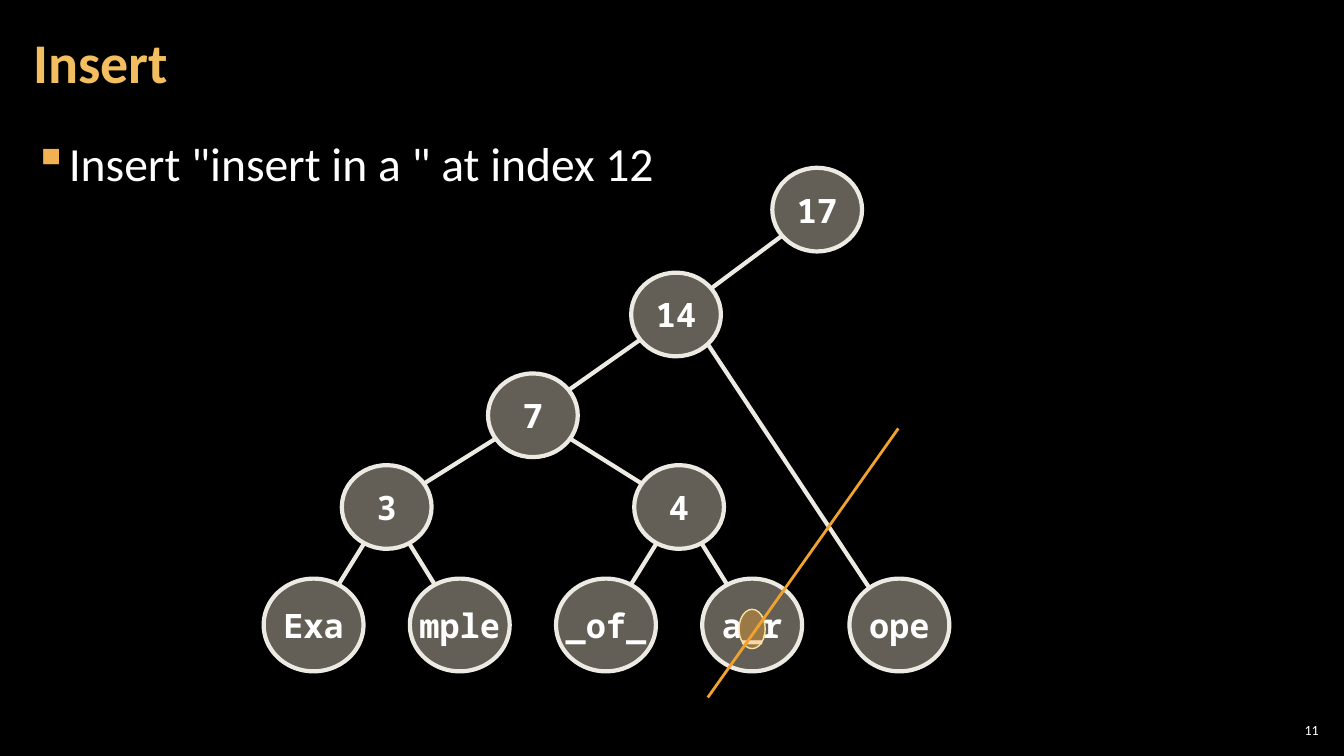
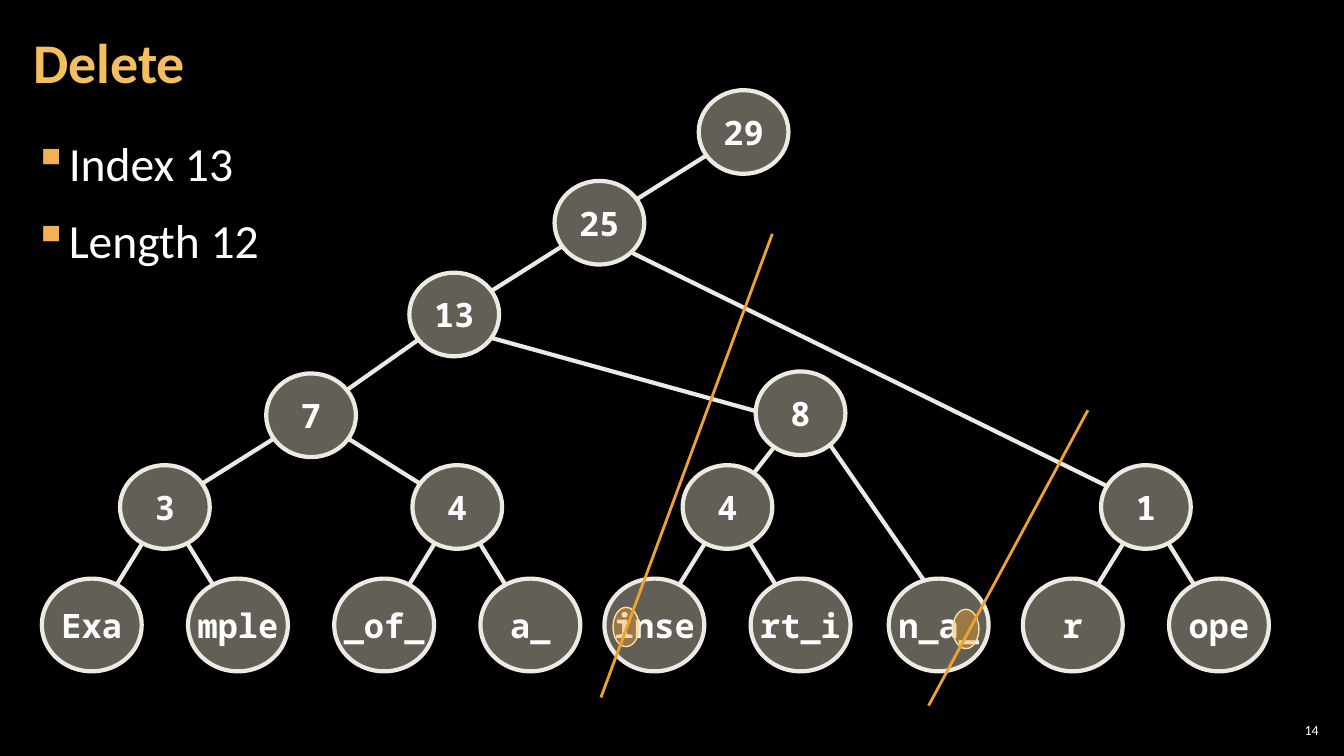
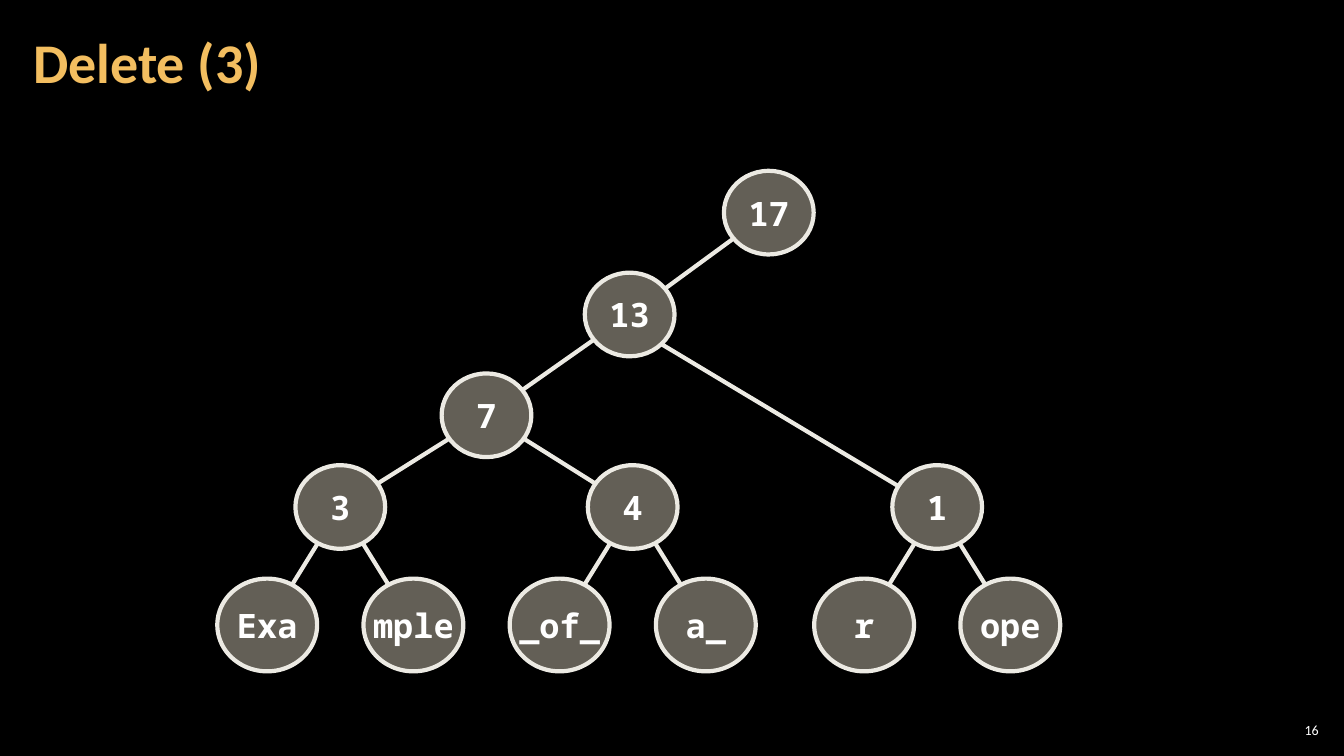
import math
import pptx
import pptx.util
import pptx.dml.color
import pptx.enum.shapes
import pptx.enum.text
import pptx.oxml.ns
import lxml.etree

Inch, Pt = pptx.util.Inches, pptx.util.Pt
qn = pptx.oxml.ns.qn
LEFT = pptx.enum.text.PP_ALIGN.LEFT
MID = pptx.enum.text.PP_ALIGN.CENTER
RIGHT = pptx.enum.text.PP_ALIGN.RIGHT
TOP = pptx.enum.text.MSO_ANCHOR.TOP
CENTER = pptx.enum.text.MSO_ANCHOR.MIDDLE
OVAL = pptx.enum.shapes.MSO_SHAPE.OVAL
STRAIGHT = pptx.enum.shapes.MSO_CONNECTOR.STRAIGHT

# Shared look
BLACK, WHITE, GOLD, BULLET = "000000", "FFFFFF", "F3BE60", "F2B254"
STONE, EDGE, CUT, RIM = "C7BFAC", "ECEAE3", "F0A22E", "F8E19F"
SANS, MONO = "Calibri", "Noto Sans Mono"
PITCH = 1.45                       # gap between neighbouring leaves
HALF = PITCH / 2
ROWS = [6.2, 5.03, 4.12, 3.12]     # centre heights, leaves first
LEAF, KNOT, MARK = (0.99, 0.92), (0.89, 0.83), (0.26, 0.39)


def ink(code):
    return pptx.dml.color.RGBColor.from_string(code)


def write(frame, text, size, font, color, bold=False, align=LEFT,
          anchor=CENTER, inset=None, wrap=True):
    frame.text = text
    frame.auto_size = pptx.enum.text.MSO_AUTO_SIZE.NONE
    frame.word_wrap, frame.vertical_anchor = wrap, anchor
    if inset:
        frame.margin_left = frame.margin_right = Inch(inset)
        frame.margin_top = frame.margin_bottom = Inch(0.04)
    for para in frame.paragraphs:
        para.alignment = align
        for run in para.runs:
            run.font.size, run.font.name, run.font.bold = Pt(size), font, bold
            run.font.color.rgb = ink(color)


# The left part of the tree is the same on every slide.
# Inner node: name, text, shift from left child, height, left child, right child
BASE = [("3", "3", HALF, ROWS[1], "Exa", "mple"),
        ("4", "4", HALF, ROWS[1], "_of_", None),
        ("7", "7", PITCH, ROWS[2], "3", "4")]
ONE = ("1", "1", HALF, ROWS[1], "r", "ope")

# "bend" holds the angles at which a long edge leaves and meets its nodes
slides = [
    dict(title="Insert", num="11", body='Insert "insert in a " at index 12',
         start=3.11, fourth="a_r", more={"ope": 8.92},
         inner=[("14", "14", 1.42, ROWS[3], "7", "ope"),
                ("17", "17", 1.4, 2.08, "14", None)],
         bend={("14", "ope"): (45, 233)},
         marks=[(7.46, 6.24)],
         cuts=[(7.02, 6.92, 8.91, 4.25)]),
    dict(title="Delete", num="14", body="Index 13\nLength 12",
         start=0.91, fourth="a_",
         more={"inse": 6.49, "rt_i": 6.49 + PITCH, "n_a_": 9.31,
               "r": 10.64, "ope": 10.64 + PITCH},
         inner=[ONE,
                ("4b", "4", HALF, ROWS[1], "inse", "rt_i"),
                ("8", "8", HALF, 4.1, "4b", "n_a_"),
                ("13", "13", 1.42, ROWS[3], "7", "8"),
                ("25", "25", 1.44, 2.21, "13", "1"),
                ("29", "29", 1.43, 1.31, "25", None)],
         bend={("13", "8"): (34, 183), ("25", "1"): (45, 210),
               ("8", "n_a_"): (49, 253)},
         marks=[(6.21, 6.22), (9.58, 6.24)],
         cuts=[(5.96, 6.92, 7.66, 2.32), (9.21, 7, 10.79, 4.07)]),
    dict(title="Delete (3)", num="16", body=None,
         start=2.65, fourth="a_", more={"r": 8.57, "ope": 8.57 + PITCH},
         inner=[ONE,
                ("13", "13", 1.42, ROWS[3], "7", "1"),
                ("17", "17", 1.38, 2.11, "13", None)],
         bend={("13", "1"): (45, 210)},
         marks=[], cuts=[]),
]

deck = pptx.Presentation()
deck.slide_width, deck.slide_height = Inch(13.33), Inch(7.5)
back = deck.slide_master.background.fill
back.solid()
back.fore_color.rgb = ink(BLACK)

for data in slides:
    page = deck.slides.add_slide(deck.slide_layouts[5])
    shapes = page.shapes

    # Title and slide number
    title = shapes.title
    title.left, title.top = Inch(0.21), Inch(0.04)
    title.width, title.height = Inch(10.47), Inch(1.21)
    write(title.text_frame, data["title"], 40, SANS, GOLD, True, inset=0.12)
    title.text_frame.paragraphs[0].line_spacing = 0.9
    num = shapes.add_textbox(Inch(12.65), Inch(7.14), Inch(0.47), Inch(0.21))
    write(num.text_frame, data["num"], 10, SANS, WHITE, align=RIGHT, inset=0.04)

    # Bullets
    if data["body"]:
        body = shapes.add_textbox(Inch(0.21), Inch(1.26), Inch(12.91), Inch(6.09))
        write(body.text_frame, data["body"], 34, SANS, WHITE, anchor=TOP, inset=0.12)
        for para in body.text_frame.paragraphs:
            para.line_spacing = 1.05
            para.space_before = para.space_after = Pt(6)
            prop = para._p.get_or_add_pPr()
            prop.set("marL", str(Inch(0.33)))
            prop.set("indent", str(-Inch(0.33)))
            tint = lxml.etree.SubElement(prop, qn("a:buClr"))
            lxml.etree.SubElement(tint, qn("a:srgbClr")).set("val", BULLET)
            lxml.etree.SubElement(prop, qn("a:buChar")).set("char", "▪")

    # Place leaves, then each parent relative to its left child
    nodes, links = {}, []
    for i, text in enumerate(["Exa", "mple", "_of_", data["fourth"]]):
        nodes[text] = (text, data["start"] + i * PITCH, ROWS[0], LEAF)
    for text, x in data["more"].items():
        nodes[text] = (text, x, ROWS[0], LEAF)
    for name, text, shift, y, left, right in BASE + data["inner"]:
        if name == "4":
            right = data["fourth"]
        nodes[name] = (text, nodes[left][1] + shift, y, KNOT)
        links += [(name, kid) for kid in (left, right) if kid]

    # Edges run from rim to rim, along the line of centres unless bent
    lines = []
    for top, kid in links:
        ends = []
        for k, (here, there) in enumerate([(top, kid), (kid, top)]):
            _, x, y, (w, h) = nodes[here]
            _, far, low, _ = nodes[there]
            turn = math.atan2((low - y) / h, (far - x) / w)
            if (top, kid) in data["bend"]:
                turn = math.radians(data["bend"][top, kid][k])
            ends += [x + w / 2 * math.cos(turn), y + h / 2 * math.sin(turn)]
        lines.append((ends, EDGE, 3))
    lines += [(cut, CUT, 2) for cut in data["cuts"]]

    # Nodes and highlights
    ovals = [(*node, STONE, 50, EDGE, 3) for node in nodes.values()]
    ovals += [("", x, y, MARK, CUT, 40, RIM, 1) for x, y in data["marks"]]
    for text, x, y, (w, h), fill, alpha, rim, width in ovals:
        oval = shapes.add_shape(OVAL, Inch(x - w / 2), Inch(y - h / 2), Inch(w), Inch(h))
        oval.shadow.inherit = False
        oval.fill.solid()
        oval.fill.fore_color.rgb = ink(fill)
        tint = oval.element.spPr.find(qn("a:solidFill"))[0]
        lxml.etree.SubElement(tint, qn("a:alpha")).set("val", str(alpha * 1000))
        oval.line.color.rgb, oval.line.width = ink(rim), Pt(width)
        if text:
            write(oval.text_frame, text, 24, MONO, WHITE, True, MID, wrap=False)

    # Edges and cuts
    for ends, color, width in lines:
        line = shapes.add_connector(STRAIGHT, *[Inch(v) for v in ends])
        line.line.color.rgb, line.line.width = ink(color), Pt(width)
        lxml.etree.SubElement(line.element.spPr, qn("a:effectLst"))

deck.save("out.pptx")
